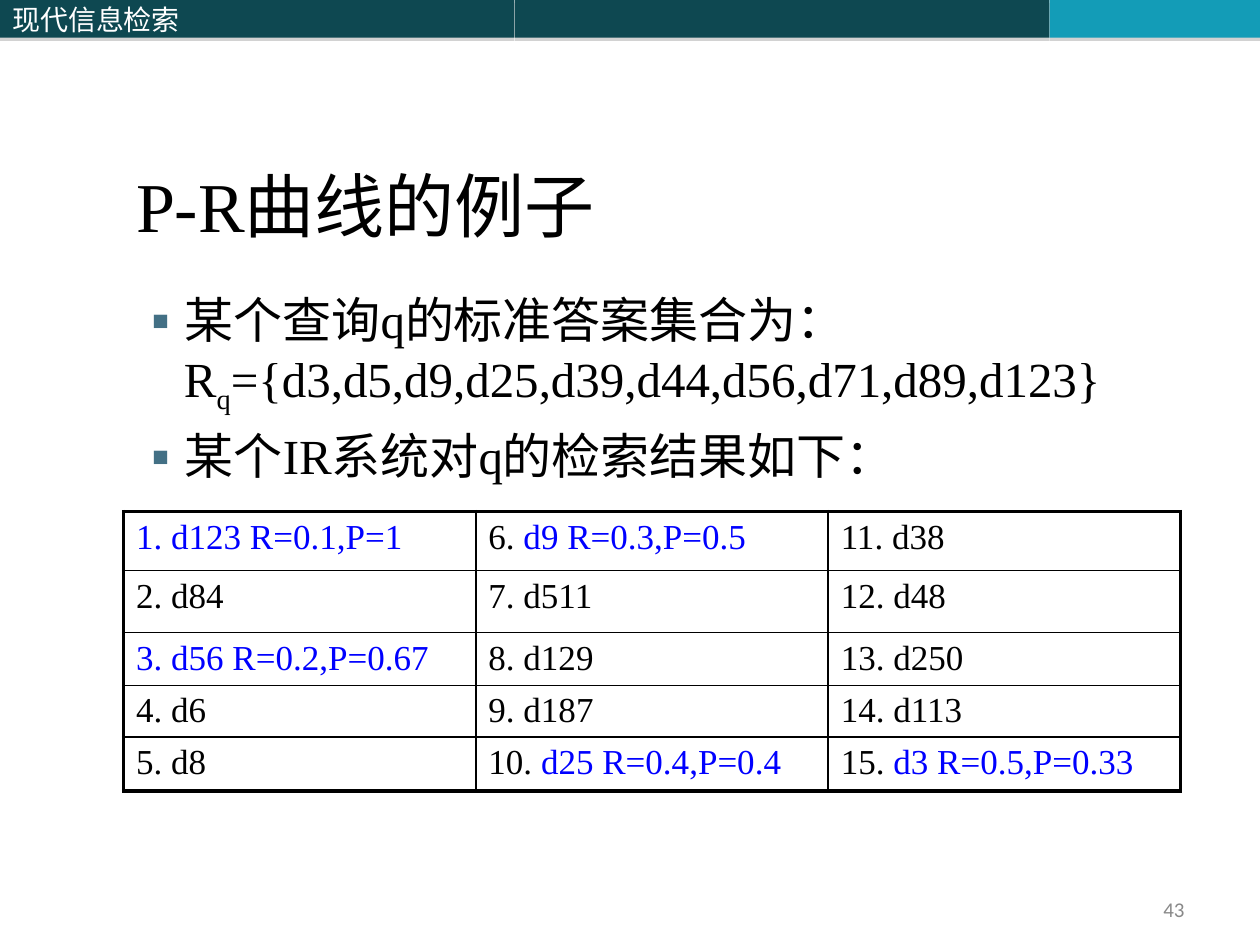
from lxml import etree
from pptx import Presentation
from pptx.dml.color import RGBColor
from pptx.enum.shapes import MSO_SHAPE
from pptx.enum.text import MSO_ANCHOR, MSO_AUTO_SIZE, PP_ALIGN
from pptx.oxml.ns import qn
from pptx.util import Inches, Pt

RECT = MSO_SHAPE.RECTANGLE
LEFT, RIGHT = PP_ALIGN.LEFT, PP_ALIGN.RIGHT
TOP, MID, BASE = MSO_ANCHOR.TOP, MSO_ANCHOR.MIDDLE, MSO_ANCHOR.BOTTOM
FIXED = MSO_AUTO_SIZE.NONE

BLACK, BLUE, TEAL, CYAN = "000000", "0000FF", "0E4851", "139CB7"
UNIT = 0.1


def tint(code):
    return RGBColor.from_string(code)


def grid(*cells):
    return [Inches(n * UNIT) for n in cells]


def node(parent, tag, **attrs):
    item = etree.SubElement(parent, qn(tag))
    for key, value in attrs.items():
        item.set(key, str(value))
    return item


def paint(parent, code):
    return node(node(parent, "a:solidFill"), "a:srgbClr", val=code)


class Deck:
    serif, sans, asian = "Times New Roman", "Calibri", "Noto Sans CJK SC"

    def __init__(self):
        self.file = Presentation()
        self.file.slide_width, self.file.slide_height = grid(100, 75)
        self.slide = self.file.slides.add_slide(self.file.slide_layouts[1])
        self.shapes = self.slide.shapes

    def fill(self, para, runs, size, font=serif, align=LEFT, before=0):
        para.alignment = align
        para.space_before = Pt(before)
        for text, code, shift in runs:
            run = para.add_run()
            run.text = text
            run.font.size = Pt(size)
            run.font.name = font
            run.font.color.rgb = tint(code)
            props = run.font._element
            node(props, "a:ea", typeface=self.asian)
            if shift:
                props.set("baseline", str(shift * 1000))

    def place(self, shape, box, anchor):
        shape.left, shape.top, shape.width, shape.height = grid(*box)
        frame = shape.text_frame
        frame.word_wrap = True
        frame.auto_size = FIXED
        frame.vertical_anchor = anchor
        return frame

    def bar(self, left, width, code, text=""):
        shape = self.shapes.add_shape(RECT, *grid(left, 0, width, 3))
        shape.fill.solid()
        shape.fill.fore_color.rgb = tint(code)
        shape.line.fill.background()
        shape.shadow.inherit = False
        effects = shape._element.spPr.find(qn("a:effectLst"))
        shade = node(effects, "a:outerShdw", blurRad=0, dist=Pt(1.8),
                     dir=90 * 60000, rotWithShape=0)
        node(node(shade, "a:srgbClr", val="808080"), "a:alpha", val=35000)
        if text:
            shape.text_frame.vertical_anchor = MID
            self.fill(shape.text_frame.paragraphs[0],
                      [(text, "FFFFFF", 0)], 16, self.asian)

    def title(self, box, text):
        frame = self.place(self.shapes.title, box, BASE)
        self.fill(frame.paragraphs[0], [(text, BLACK, 0)], 40)

    def bullets(self, box, items):
        frame = self.place(self.slide.placeholders[1], box, TOP)
        for i, runs in enumerate(items):
            para = frame.add_paragraph() if i else frame.paragraphs[0]
            self.fill(para, runs, 28, before=5.6)
            props = para._p.get_or_add_pPr()
            props.set("marL", str(Inches(0.38)))
            props.set("indent", str(-Inches(0.38)))
            node(node(props, "a:buClr"), "a:srgbClr", val="437085")
            node(props, "a:buFont", typeface=self.asian)
            node(props, "a:buChar", char="▪")

    def edges(self, cell, thick):
        props = cell._tc.get_or_add_tcPr()
        for side in "LRTB":
            width = Pt(2.25 if side in thick else 1)
            paint(node(props, f"a:ln{side}", w=width), BLACK)
        cell.fill.background()

    def table(self, box, heights, columns):
        rows, cols = len(heights), len(columns)
        table = self.shapes.add_table(rows, cols, *grid(*box)).table
        table.first_row = table.horz_banding = False
        for row, height in zip(table.rows, grid(*heights)):
            row.height = height
        for c, column in enumerate(columns):
            for r, (name, score, whole) in enumerate(column):
                cell = table.cell(r, c)
                rank = f"{c * rows + r + 1}. "
                body = f"{name} {score}" if score else name
                runs = [(rank, BLUE if whole else BLACK, 0),
                        (body, BLUE if score else BLACK, 0)]
                self.fill(cell.text_frame.paragraphs[0], runs, 20, before=4)
                outer = {"L": c == 0, "R": c == cols - 1,
                         "T": r == 0, "B": r == rows - 1}
                self.edges(cell, [side for side in outer if outer[side]])

    def number(self, box, text):
        shape = self.shapes.add_textbox(*grid(*box))
        frame = self.place(shape, box, MID)
        self.fill(frame.paragraphs[0], [(text, "898989", 0)],
                  12, self.sans, RIGHT)


def main():
    deck = Deck()
    deck.bar(0, 40.8, TEAL, "现代信息检索")
    deck.bar(40.85, 42.45, TEAL)
    deck.bar(83.3, 16.7, CYAN)
    deck.title((9.8, 7.6, 75.3, 12.5), "P-R曲线的例子")
    deck.bullets((9.8, 22.5, 81.1, 16.5), [
        [("某个查询q的标准答案集合为：R", BLACK, 0),
         ("q", BLACK, -25),
         ("={d3,d5,d9,d25,d39,d44,d56,d71,d89,d123}", BLACK, 0)],
        [("某个IR系统对q的检索结果如下：", BLACK, 0)],
    ])
    deck.table((9.8, 40.6, 83.9, 22.2), (4.7, 4.9, 4.2, 4.1, 4.3), [
        [("d123", "R=0.1,P=1", True), ("d84", "", False),
         ("d56", "R=0.2,P=0.67", True), ("d6", "", False),
         ("d8", "", False)],
        [("d9", "R=0.3,P=0.5", False), ("d511", "", False),
         ("d129", "", False), ("d187", "", False),
         ("d25", "R=0.4,P=0.4", False)],
        [("d38", "", False), ("d48", "", False),
         ("d250", "", False), ("d113", "", False),
         ("d3", "R=0.5,P=0.33", False)],
    ])
    deck.number((71.7, 70.8, 23.3, 2.7), "43")
    deck.file.save("out.pptx")


if __name__ == "__main__":
    main()
